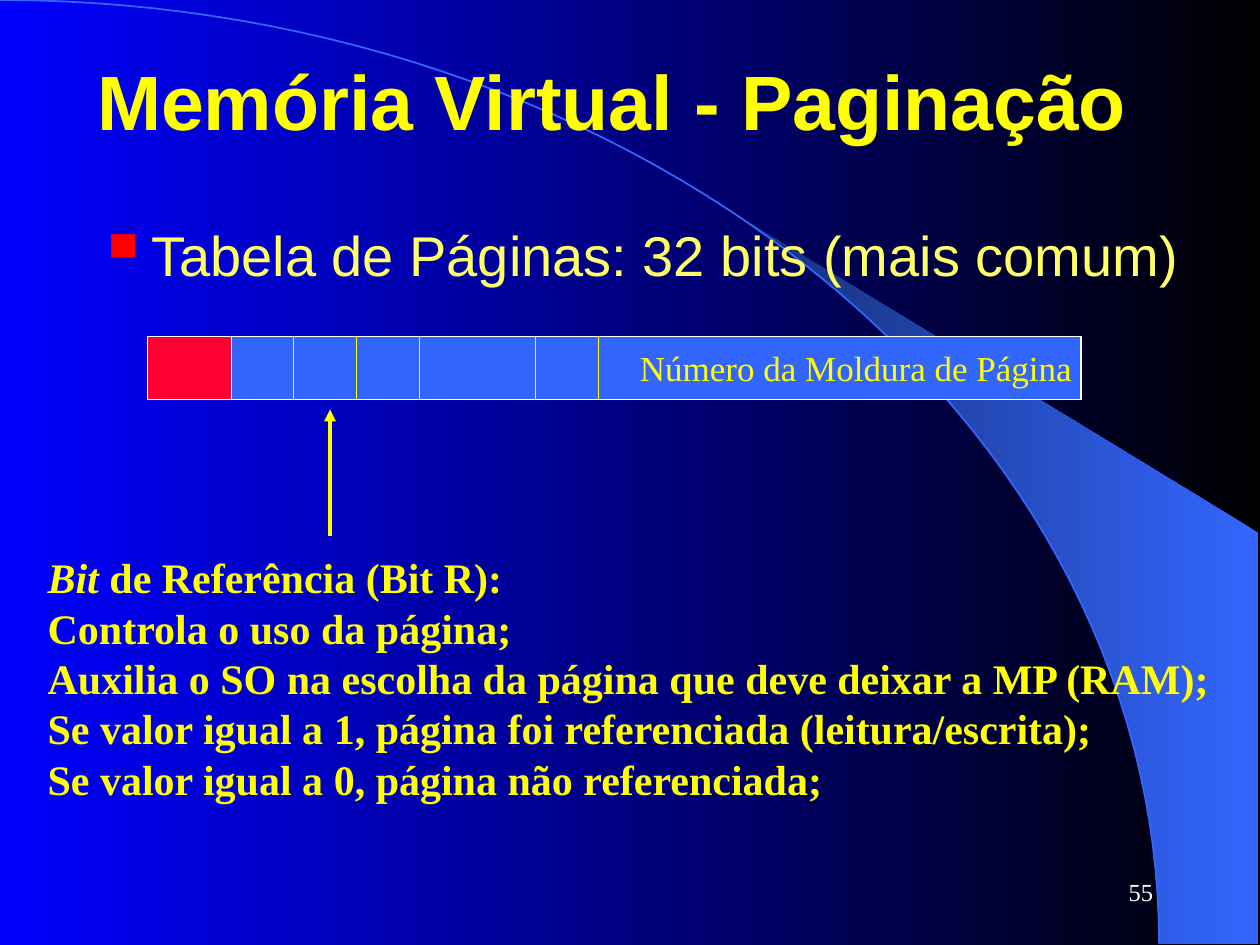
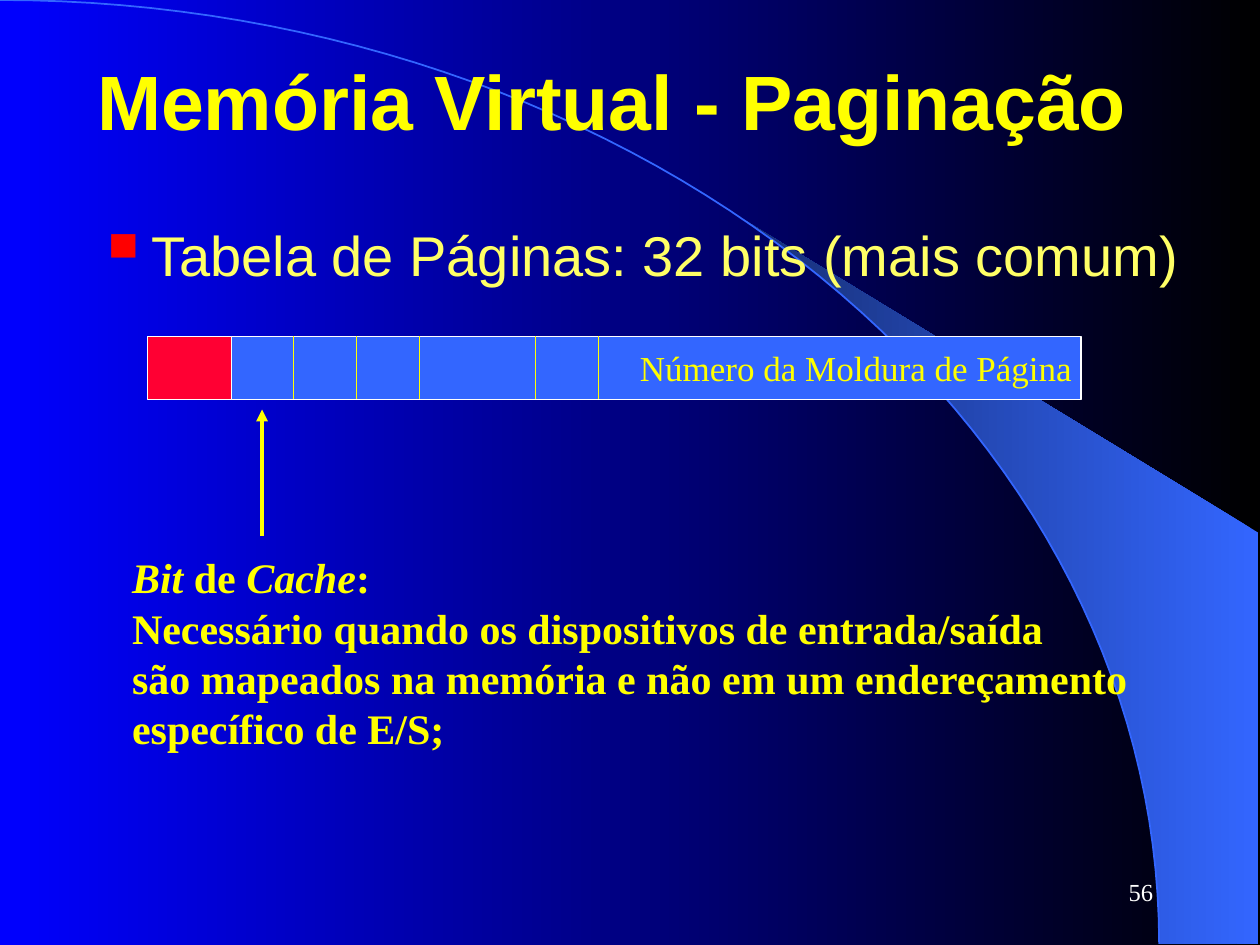
from math import asin, cos, pi, sin

from lxml import etree
from pptx import Presentation
from pptx.dml.color import RGBColor
from pptx.enum.shapes import MSO_CONNECTOR, MSO_SHAPE
from pptx.enum.text import MSO_ANCHOR, MSO_AUTO_SIZE, PP_ALIGN
from pptx.oxml.ns import qn
from pptx.util import Inches, Pt

STRAIGHT = MSO_CONNECTOR.STRAIGHT
RECTANGLE = MSO_SHAPE.RECTANGLE
MIDDLE = MSO_ANCHOR.MIDDLE
LEFT, RIGHT = PP_ALIGN.LEFT, PP_ALIGN.RIGHT
FIT_SHAPE, NO_FIT = MSO_AUTO_SIZE.SHAPE_TO_FIT_TEXT, MSO_AUTO_SIZE.NONE

BLACK = RGBColor(0x00, 0x00, 0x00)
WHITE = RGBColor(0xFF, 0xFF, 0xFF)
BLUE = RGBColor(0x00, 0x00, 0xFF)
SKY = RGBColor(0x33, 0x66, 0xFF)
NAVY = RGBColor(0x17, 0x2F, 0x75)
YELLOW = RGBColor(0xFF, 0xFF, 0x00)
PALE_YELLOW = RGBColor(0xFF, 0xFF, 0x66)
RED = RGBColor(0xFF, 0x00, 0x33)

SANS, SERIF = "Arial", "Times New Roman"
ARC_WIDTH, ARC_HEIGHT = 9.2, 7.49
SWEEP_START, SWEEP_RIGHT, SWEEP_TOP = 5.89, 9.99, 4.23
ENTRY_TOP, ENTRY_HEIGHT = 2.67, 0.5
FIELD_EDGES = (2.33, 2.83, 3.33, 4.25, 4.75)

TITLE = "Memória Virtual - Paginação"
TOPIC = "Tabela de Páginas: 32 bits (mais comum)"
REFERENCE_NOTE = """*Bit* de Referência (Bit R):
Controla o uso da página;
Auxilia o SO na escolha da página que deve deixar a MP (RAM);
Se valor igual a 1, página foi referenciada (leitura/escrita);
Se valor igual a 0, página não referenciada;"""
CACHE_NOTE = """*Bit* de *Cache*:
Necessário quando os dispositivos de entrada/saída
são mapeados na memória e não em um endereçamento
específico de E/S;"""


def write(tf, text, size=24, color=YELLOW, font=SERIF, bold=False, align=LEFT):
    for i, line in enumerate(text.split("\n")):
        p = tf.add_paragraph() if i else tf.paragraphs[0]
        p.alignment = align
        for j, part in enumerate(line.split("*")):
            if part:
                r = p.add_run()
                r.text = part
                r.font.name = font
                r.font.size = Pt(size)
                r.font.bold = bold
                r.font.italic = j % 2 == 1
                r.font.color.rgb = color


def fade(fill, right, left):
    fill.gradient()
    fill.gradient_angle = 180
    for stop, color in zip(fill.gradient_stops, (right, left)):
        stop.color.rgb = color


def arc_points(start_x, steps=60):
    start = asin(start_x / ARC_WIDTH)
    angles = [start + (pi / 2 - start) * i / steps for i in range(steps + 1)]
    return [(ARC_WIDTH * sin(t), ARC_HEIGHT * (1 - cos(t))) for t in angles]


class Deck:
    def __init__(self):
        self.prs = Presentation()
        self.prs.slide_width, self.prs.slide_height = Inches(10), Inches(7.5)
        fade(self.prs.slide_master.background.fill, BLACK, BLUE)
        self.s = None

    def new_slide(self, title, number):
        self.s = self.prs.slides.add_slide(self.prs.slide_layouts[5])
        self.decorate()
        self.title(title)
        tf = self.text_box(7.17, 6.83, 2.08, 0.5)
        tf.vertical_anchor = MIDDLE
        write(tf, str(number), size=14, color=WHITE, align=RIGHT)

    def title(self, text):
        sp = self.s.shapes.title
        sp.left, sp.top, sp.width, sp.height = map(Inches, (0.67, 0.17, 9, 1.25))
        tf = sp.text_frame
        tf.auto_size = NO_FIT
        tf.vertical_anchor = MIDDLE
        write(tf, text, size=44, font=SANS, bold=True)
        sp._element.getparent().append(sp._element)

    def decorate(self):
        corners = [(SWEEP_RIGHT, ARC_HEIGHT), (SWEEP_RIGHT, SWEEP_TOP)]
        sweep = self.outline(arc_points(SWEEP_START) + corners, close=True)
        fade(sweep.fill, SKY, NAVY)
        sweep.line.fill.background()
        arc = self.outline(arc_points(0), close=False)
        arc.fill.background()
        arc.line.color.rgb = SKY
        arc.line.width = Pt(1)

    def outline(self, points, close):
        points = [(Inches(x), Inches(y)) for x, y in points]
        builder = self.s.shapes.build_freeform(*points[0])
        builder.add_line_segments(points[1:], close=close)
        sp = builder.convert_to_shape()
        sp.shadow.inherit = False
        return sp

    def text_box(self, x, y, w, h, wrap=True):
        tf = self.s.shapes.add_textbox(*map(Inches, (x, y, w, h))).text_frame
        tf.word_wrap = wrap
        return tf

    def bullet(self, text):
        tf = self.text_box(0.67, 1.7, 9, 0.67)
        pPr = tf.paragraphs[0]._p.get_or_add_pPr()
        pPr.set("marL", str(Inches(0.38)))
        pPr.set("indent", str(-Inches(0.38)))
        color = etree.SubElement(pPr, qn("a:buClr"))
        etree.SubElement(color, qn("a:srgbClr"), val="FF0000")
        etree.SubElement(pPr, qn("a:buSzPct"), val="130000")
        etree.SubElement(pPr, qn("a:buChar"), char="▪")
        write(tf, text, size=32, color=PALE_YELLOW, font=SANS)

    def line(self, x, y1, y2, width=0.75, arrow=False):
        c = self.s.shapes.add_connector(STRAIGHT, *map(Inches, (x, y1, x, y2)))
        c.line.color.rgb = YELLOW
        c.line.width = Pt(width)
        spPr = c._element.spPr
        if arrow:
            etree.SubElement(spPr.find(qn("a:ln")), qn("a:tailEnd"), type="triangle")
        etree.SubElement(spPr, qn("a:effectLst"))

    def box(self, x, w, color):
        size = map(Inches, (x, ENTRY_TOP, w, ENTRY_HEIGHT))
        sp = self.s.shapes.add_shape(RECTANGLE, *size)
        sp.shadow.inherit = False
        sp.fill.solid()
        sp.fill.fore_color.rgb = color
        sp.line.color.rgb = WHITE
        sp.line.width = Pt(0.75)
        return sp.text_frame

    def page_entry(self):
        tf = self.box(1.83, 6.75, SKY)
        tf.vertical_anchor = MIDDLE
        tf.margin_right = Inches(0.07)
        write(tf, "Número da Moldura de Página", size=20, align=RIGHT)
        self.box(1.17, 0.67, RED)
        for x in FIELD_EDGES:
            self.line(x, ENTRY_TOP, ENTRY_TOP + ENTRY_HEIGHT)

    def note(self, text, x, w, h):
        tf = self.text_box(x, 4.33, w, h, wrap=False)
        tf.auto_size = FIT_SHAPE
        write(tf, text, bold=True)

    def bit_slide(self, number, arrow_x, text, x, w, h):
        self.new_slide(TITLE, number)
        self.bullet(TOPIC)
        self.page_entry()
        self.line(arrow_x, 4.25, 3.25, width=2.25, arrow=True)
        self.note(text, x, w, h)


def main():
    deck = Deck()
    deck.bit_slide(55, 2.62, REFERENCE_NOTE, 0.28, 9.44, 2.5)
    deck.bit_slide(56, 2.08, CACHE_NOTE, 0.95, 8.1, 1.7)
    deck.prs.save("out.pptx")


if __name__ == "__main__":
    main()
